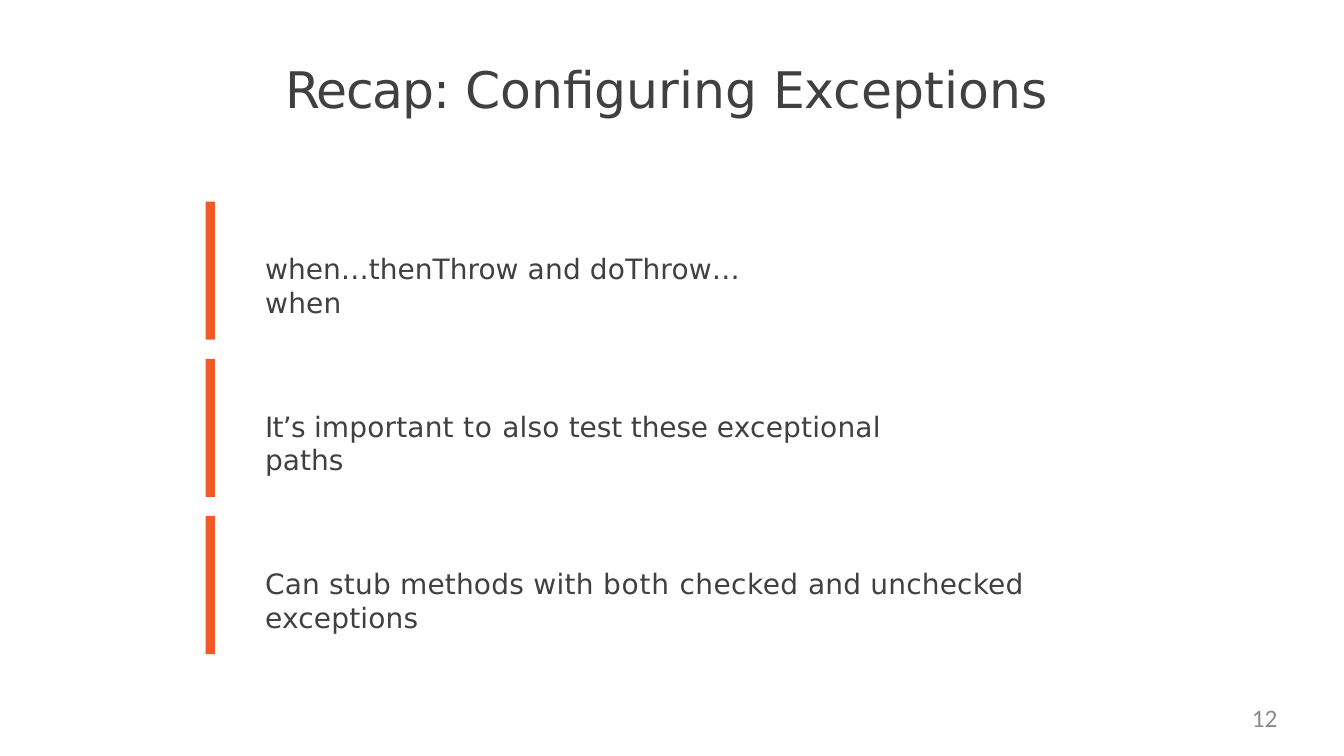
import pptx
import pptx.dml.color
import pptx.enum.shapes
import pptx.enum.text
import pptx.util

ORANGE = pptx.dml.color.RGBColor(0xF0, 0x5A, 0x28)
DARK = pptx.dml.color.RGBColor(0x40, 0x40, 0x40)
GREY = pptx.dml.color.RGBColor(0x8C, 0x8C, 0x8C)
WHITE = pptx.dml.color.RGBColor(0xFF, 0xFF, 0xFF)
PX = 9144
ROW_PITCH = 156

TITLE = [("Recap: ", -90), ("Configuring Exceptions", 0)]
POINTS = [
    (538, [("when…thenThrow ", 0), ("and doThrow…when", 10)]),
    (695, [("It’s ", -50), ("important ", 10), ("to ", 50), ("also ", 10),
           ("test these ", -10), ("exceptional ", 10), ("paths", 0)]),
    (903, [("Can stub methods ", 10), ("with ", 20), ("both ", 50),
           ("checked ", 30), ("and unchecked exceptions", 10)]),
]


class RecapSlide:
    """Holds the style and the current slide."""

    def __init__(self, deck):
        self.font = "DejaVu Sans"
        self.page = deck.slides.add_slide(deck.slide_layouts[6])
        self.page.background.fill.solid()
        self.page.background.fill.fore_color.rgb = WHITE

    def bar(self, left, top, width, height):
        bar = self.page.shapes.add_shape(
            pptx.enum.shapes.MSO_SHAPE.RECTANGLE,
            left * PX, top * PX, width * PX, height * PX)
        bar.shadow.inherit = False
        bar.fill.solid()
        bar.fill.fore_color.rgb = ORANGE
        bar.line.fill.background()

    def text(self, left, top, width, height, spans, size, color=DARK,
             font=None, align=pptx.enum.text.PP_ALIGN.LEFT, inset=1):
        box = self.page.shapes.add_textbox(
            left * PX, top * PX, width * PX, height * PX)
        frame = box.text_frame
        frame.word_wrap = True
        frame.auto_size = pptx.enum.text.MSO_AUTO_SIZE.SHAPE_TO_FIT_TEXT
        frame.margin_left = frame.margin_top = inset * PX
        frame.margin_right = frame.margin_bottom = 0
        para = frame.paragraphs[0]
        para.alignment = align
        para.font.name = font or self.font
        para.font.size = pptx.util.Pt(size)
        para.font.color.rgb = color
        for words, spacing in spans:
            span = para.add_run()
            span.text = words
            if spacing:
                span._r.get_or_add_rPr().set("spc", str(spacing))


def main():
    deck = pptx.Presentation()
    deck.slide_width = 1333 * PX
    deck.slide_height = 750 * PX
    recap = RecapSlide(deck)
    recap.text(282, 57, 759, 63, TITLE, 36)
    for row, (width, spans) in enumerate(POINTS):
        offset = row * ROW_PITCH
        recap.bar(204, 200 + offset, 9, 137)
        recap.text(262, 249 + offset, width, 36, spans, 20)
    recap.text(960, 697, 307, 38, [("12", 0)], 18, GREY, "Calibri",
               pptx.enum.text.PP_ALIGN.RIGHT, 0)
    deck.save("out.pptx")


if __name__ == "__main__":
    main()
